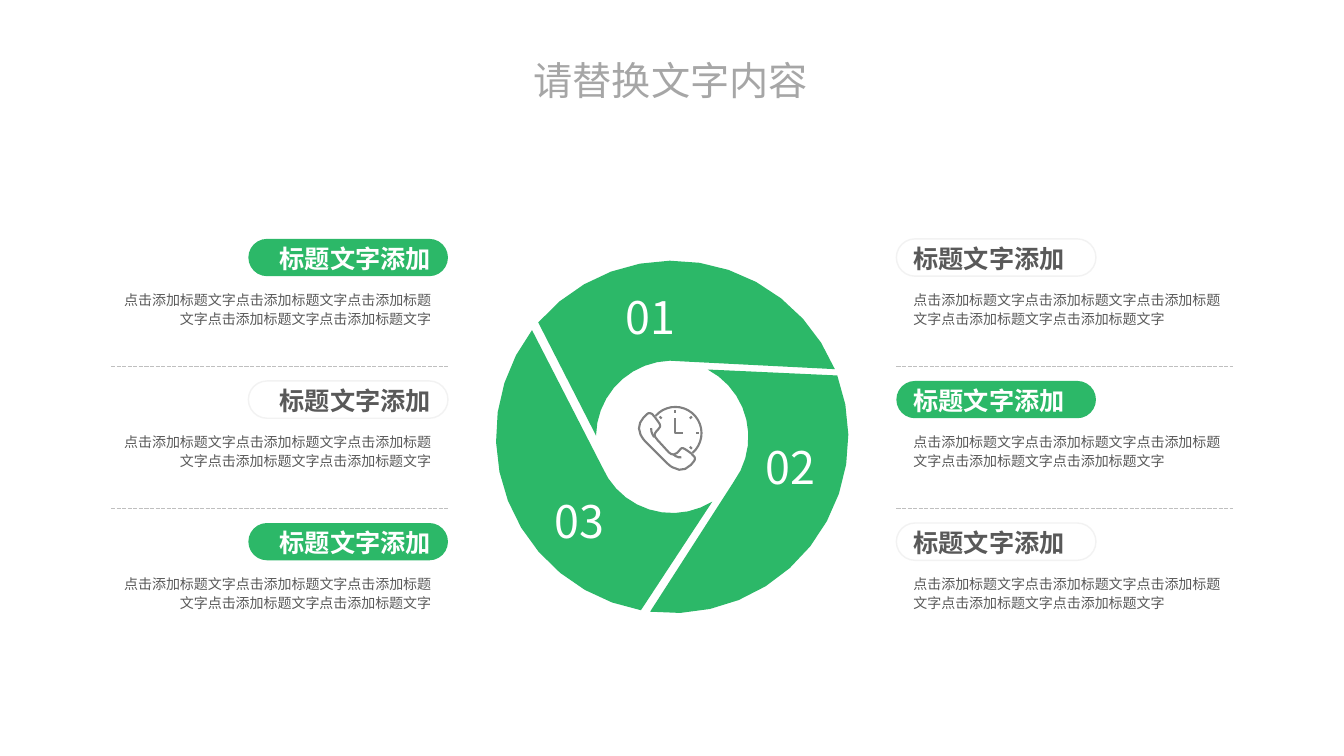
import math

import lxml.etree
import pptx
import pptx.dml.color
import pptx.enum.dml
import pptx.enum.shapes
import pptx.enum.text
import pptx.oxml.ns
import pptx.util

Cm = pptx.util.Cm
Pt = pptx.util.Pt
RGBColor = pptx.dml.color.RGBColor
ALIGN = pptx.enum.text.PP_ALIGN
ANCHOR = pptx.enum.text.MSO_ANCHOR
qn = pptx.oxml.ns.qn

GREEN = RGBColor(0x2C, 0xB8, 0x68)
WHITE = RGBColor(0xFF, 0xFF, 0xFF)
PALE_GRAY = RGBColor(0xF2, 0xF2, 0xF2)
RULE_GRAY = RGBColor(0xBF, 0xBF, 0xBF)
TITLE_GRAY = RGBColor(0xA6, 0xA6, 0xA6)
ICON_GRAY = RGBColor(0x80, 0x80, 0x80)
TEXT_GRAY = RGBColor(0x59, 0x59, 0x59)

RING_CENTER = (16.94, 11.01)
OUTER_RADIUS = 4.44
INNER_RADIUS = 1.92
BLADES = [
    (181, 278, 337.4, 220.5),
    (157.1, 58.2, 100.2, 217.3),
    (-62.2, 36.1, 97.2, -20.4),
]
NUMBER_SIZE = (2.54, 1.9)
NUMBERS = [("01", 15.12, 7.02), ("02", 18.66, 10.8), ("03", 13.34, 12.16)]

ICON_LEFT, ICON_TOP = 16.08, 10.23
ICON_UNIT = 2.54 / 100
CLOCK_CENTER = (37, 27)
CLOCK_MARKS = [
    [(37, 12), (37, 27), (45, 27)],
    [(37, 4), (37, 7)],
    [(58, 27), (61, 27)],
    [(21.5, 10.5), (23.5, 12.5)],
    [(51.5, 12.5), (53.5, 10.5)],
    [(51.5, 40.5), (53.5, 42.5)],
]
HANDSET = [
    (5.5, 11.5), (1, 16.5, -0.5, 22, 2.5, 28.5), (4, 31, 5, 33, 7, 35),
    (29, 57), (31, 58.5, 32, 60, 34.5, 61), (41, 65, 47, 64, 52.5, 58.5),
    (55, 55.5), (56.5, 54, 57, 52, 56, 50.5), (54, 47, 46, 42.5, 46, 42.5),
    (44.5, 41.5, 43.5, 41.5, 42.5, 42.5), (40.5, 44.5, 39.5, 46.5, 38, 47),
    (35.5, 49, 33, 48.5, 30.5, 46), (19.5, 34), (16, 30.5, 16, 28, 17, 27),
    (18, 25, 20, 23.5, 21, 22), (22.5, 20.5, 22, 19.5, 21.5, 18),
    (21, 17, 17, 11, 14, 8), (11.5, 6.5, 10, 7, 8.5, 8.5), (5.5, 11.5),
]
HANDSET_CURLS = [
    [(13, 22), (13, 26, 14, 28, 16, 31)],
    [(43, 51), (40, 51.5, 37, 50, 35, 48)],
]

ROW_PITCH = 3.58
HEADING = "标题文字添加"
BODY = "点击添加标题文字" * 5
PANELS = [
    (6.26, 5.19, 2.8, 2.8, ALIGN.RIGHT, (0, 2)),
    (22.59, 22.77, 22.77, 22.59, ALIGN.LEFT, (1,)),
]


def arc(center, radius, start, end, step_angle=10):
    steps = math.ceil(abs(end - start) / step_angle)
    angles = [math.radians(start + (end - start) * step / steps) for step in range(steps + 1)]
    return [(center[0] + radius * math.cos(a), center[1] + radius * math.sin(a)) for a in angles]


def trace(segments, steps=3):
    points = []
    for segment in segments:
        if len(segment) == 2:
            points.append(segment)
            continue
        x0, y0 = points[-1]
        x1, y1, x2, y2, x3, y3 = segment
        for step in range(1, steps + 1):
            t = step / steps
            weights = ((1 - t) ** 3, 3 * t * (1 - t) ** 2, 3 * t * t * (1 - t), t ** 3)
            points.append((
                sum(w * x for w, x in zip(weights, (x0, x1, x2, x3))),
                sum(w * y for w, y in zip(weights, (y0, y1, y2, y3))),
            ))
    return points


class SlideBuilder:
    font_name = "Noto Sans CJK SC"

    def __init__(self, slide):
        self.slide = slide

    def paint(self, shape, fill=None, line=None, width=1):
        shape.shadow.inherit = False
        if fill is None:
            shape.fill.background()
        else:
            shape.fill.solid()
            shape.fill.fore_color.rgb = fill
        if line is None:
            shape.line.fill.background()
        else:
            shape.line.color.rgb = line
            shape.line.width = Pt(width)

    def text(self, text, left, top, width, height, size, color, align,
             bold=False, wrap=True, anchor=ANCHOR.TOP, spacing=None):
        shape = self.slide.shapes.add_textbox(Cm(left), Cm(top), Cm(width), Cm(height))
        frame = shape.text_frame
        frame.word_wrap = wrap
        frame.vertical_anchor = anchor
        paragraph = frame.paragraphs[0]
        paragraph.text = text
        paragraph.alignment = align
        paragraph.line_spacing = spacing
        font = paragraph.font
        font.name = self.font_name
        font.size = Pt(size)
        font.bold = bold
        font.color.rgb = color
        properties = paragraph._p.pPr.find(qn("a:defRPr"))
        latin = properties.find(qn("a:latin"))
        east_asian = lxml.etree.Element(qn("a:ea"), typeface=self.font_name)
        latin.addnext(east_asian)

    def pill(self, left, top, width, height, fill, line):
        kind = pptx.enum.shapes.MSO_SHAPE.ROUNDED_RECTANGLE
        shape = self.slide.shapes.add_shape(kind, Cm(left), Cm(top), Cm(width), Cm(height))
        shape.adjustments[0] = 0.5
        self.paint(shape, fill, line)

    def divider(self, left, top, width):
        kind = pptx.enum.shapes.MSO_CONNECTOR.STRAIGHT
        connector = self.slide.shapes.add_connector(kind, Cm(left), Cm(top), Cm(left + width), Cm(top))
        connector.line.color.rgb = RULE_GRAY
        connector.line.width = Pt(1)
        connector.line.dash_style = pptx.enum.dml.MSO_LINE.SQUARE_DOT
        lxml.etree.SubElement(connector._element.spPr, qn("a:effectLst"))

    def outline(self, contours, closed, **style):
        contours = [[(Cm(x), Cm(y)) for x, y in contour] for contour in contours]
        builder = self.slide.shapes.build_freeform(*contours[0][0])
        for index, contour in enumerate(contours):
            if index:
                builder.move_to(*contour[0])
            builder.add_line_segments(contour[1:], close=closed)
        self.paint(builder.convert_to_shape(), **style)


def main():
    presentation = pptx.Presentation()
    presentation.slide_width = Cm(33.87)
    presentation.slide_height = Cm(19.05)
    builder = SlideBuilder(presentation.slides.add_slide(presentation.slide_layouts[6]))

    for inner_start, inner_end, outer_start, outer_end in BLADES:
        blade = arc(RING_CENTER, INNER_RADIUS, inner_start, inner_end)
        blade += arc(RING_CENTER, OUTER_RADIUS, outer_start, outer_end)
        builder.outline([blade], closed=True, fill=GREEN)

    clock = arc(CLOCK_CENTER, 26, 221, 409)
    icon = [clock, *CLOCK_MARKS, *map(trace, [HANDSET, *HANDSET_CURLS])]
    icon = [[(ICON_LEFT + x * ICON_UNIT, ICON_TOP + y * ICON_UNIT) for x, y in contour] for contour in icon]
    builder.outline(icon, closed=False, line=ICON_GRAY, width=1.5)

    for number, left, top in NUMBERS:
        builder.text(number, left, top, *NUMBER_SIZE, 32, WHITE, ALIGN.CENTER,
                     wrap=False, anchor=ANCHOR.MIDDLE)

    for pill_left, heading_left, body_left, rule_left, align, green_rows in PANELS:
        for row in range(3):
            offset = row * ROW_PITCH
            green = row in green_rows
            if row < 2:
                builder.divider(rule_left, 9.23 + offset, 8.48)
            builder.pill(pill_left, 6.02 + offset, 5.03, 0.94,
                         GREEN if green else WHITE, None if green else PALE_GRAY)
            builder.text(HEADING, heading_left, 6 + offset, 5.92, 1.02, 18,
                         WHITE if green else TEXT_GRAY, align, bold=True)
            builder.text(BODY, body_left, 7.16 + offset, 8.31, 1.19, 10, TEXT_GRAY, align, spacing=1.14)

    builder.text("请替换文字内容", 13.2, 1.07, 7.49, 1.6, 28, TITLE_GRAY, ALIGN.JUSTIFY,
                 wrap=False, spacing=1.2)
    presentation.save("out.pptx")


if __name__ == "__main__":
    main()
